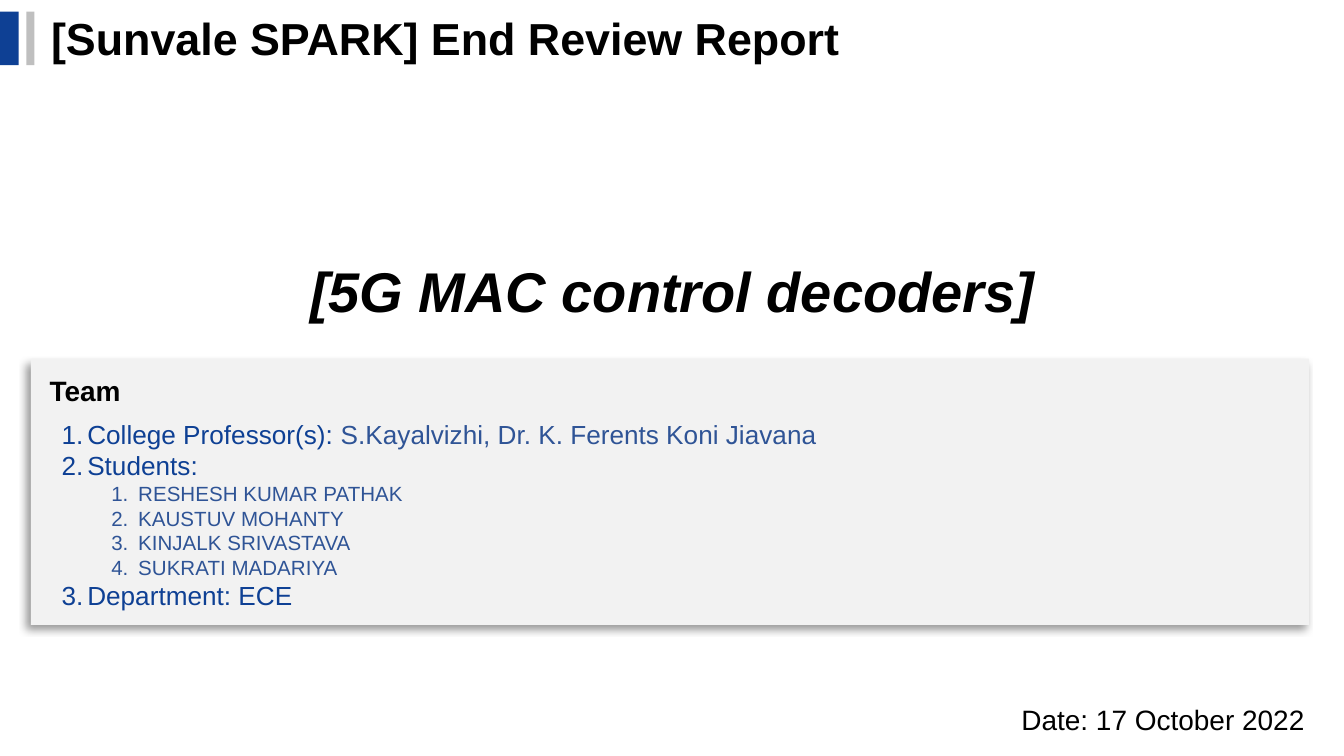
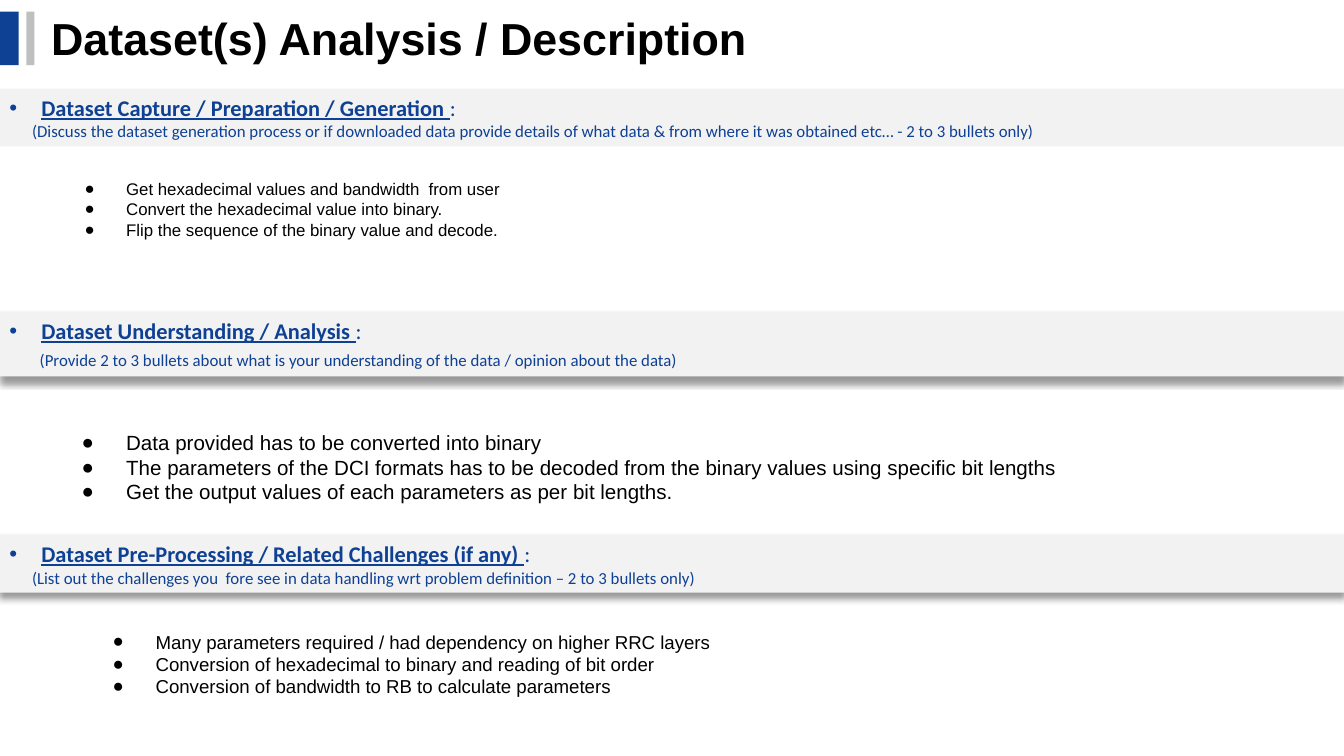
from lxml.etree import SubElement
from pptx import Presentation
from pptx.dml.color import RGBColor
from pptx.enum.shapes import MSO_SHAPE
from pptx.enum.text import MSO_ANCHOR, MSO_AUTO_SIZE, PP_ALIGN
from pptx.oxml.ns import qn
from pptx.util import Pt

BLACK = RGBColor(0x00, 0x00, 0x00)
BLUE = RGBColor(0x0E, 0x40, 0x94)
NAME_BLUE = RGBColor(0x2F, 0x54, 0x96)
PANEL = RGBColor(0xF2, 0xF2, 0xF2)
GRAY = RGBColor(0xBF, 0xBF, 0xBF)
WIDTH, HEIGHT = 720, 405


class Deck:
    def __init__(self):
        self.prs = Presentation()
        self.prs.slide_width, self.prs.slide_height = Pt(WIDTH), Pt(HEIGHT)
        self.slide = None

    def new_slide(self, title):
        self.slide = self.prs.slides.add_slide(self.prs.slide_layouts[6])
        # Title with its two marker bars
        self.rect(0, 6.3, 10.1, 28.6, BLUE)
        self.rect(14.2, 6.3, 4.3, 28.6, GRAY)
        self.label(22.4, 2.9, 555, 34.6, title, 24, bold=True)

    def rect(self, x, y, w, h, color, shadow_angle=None):
        sp = self.slide.shapes.add_shape(MSO_SHAPE.RECTANGLE, Pt(x), Pt(y), Pt(w), Pt(h))
        sp.fill.solid()
        sp.fill.fore_color.rgb = color
        sp.line.fill.background()
        sp.shadow.inherit = False
        if shadow_angle is not None:
            effects = sp._element.spPr.find(qn("a:effectLst"))
            shadow = SubElement(effects, qn("a:outerShdw"), blurRad=str(Pt(4)), dist=str(Pt(3)),
                                dir=str(shadow_angle * 60000), algn="t", rotWithShape="0")
            tint = SubElement(shadow, qn("a:srgbClr"), val=str(BLACK))
            SubElement(tint, qn("a:alpha"), val="40000")
        return sp

    def frame(self, sp, inset_x=5, inset_y=3, anchor=MSO_ANCHOR.TOP):
        tf = sp.text_frame
        tf.word_wrap = True
        tf.auto_size = MSO_AUTO_SIZE.NONE
        tf.margin_left = tf.margin_right = Pt(inset_x)
        tf.margin_top = tf.margin_bottom = Pt(inset_y)
        tf.vertical_anchor = anchor
        return tf

    def text_box(self, x, y, w, h, **frame):
        return self.frame(self.slide.shapes.add_textbox(Pt(x), Pt(y), Pt(w), Pt(h)), **frame)

    def paragraph(self, tf, text, size, color=BLACK, align=PP_ALIGN.LEFT, **style):
        p = tf.paragraphs[0] if not tf.paragraphs[0].runs else tf.add_paragraph()
        p.text = text
        p.alignment = align
        self.style_run(p.runs[0], size, color, **style)
        return p

    def style_run(self, r, size, color=BLACK, font="Arial", bold=False, italic=False, underline=False):
        f = r.font
        f.size, f.name, f.color.rgb = Pt(size), font, color
        f.bold, f.italic, f.underline = bold, italic, underline

    def add_run(self, p, text, size, color, **style):
        r = p.add_run()
        r.text = text
        self.style_run(r, size, color, **style)

    def indent(self, p, left, hanging=0, color=BLACK, bullet=None, level=0):
        """A one-character bullet, or "1." for automatic numbers."""
        p.level = level
        pPr = p._p.get_or_add_pPr()
        pPr.set("marL", str(Pt(left)))
        pPr.set("indent", str(-Pt(hanging)))
        if bullet:
            SubElement(SubElement(pPr, qn("a:buClr")), qn("a:srgbClr"), val=str(color))
            SubElement(pPr, qn("a:buFont"), typeface="Arial")
            if bullet == "1.":
                SubElement(pPr, qn("a:buAutoNum"), type="arabicPeriod")
            else:
                SubElement(pPr, qn("a:buChar"), char=bullet)

    def label(self, x, y, w, h, text, size, **style):
        tf = self.text_box(x, y, w, h, anchor=MSO_ANCHOR.MIDDLE)
        self.paragraph(tf, text, size, **style)

    def numbered(self, tf, text, size=14, color=BLUE, left=13.7, hanging=13.7, level=0):
        p = self.paragraph(tf, text, size, color)
        self.indent(p, left, hanging, color, "1.", level)
        return p

    def band(self, y, h, heading, hint, hint_indent=12.2, hint_gap=0, shadow_angle=None):
        tf = self.frame(self.rect(0, y, WIDTH, h, PANEL, shadow_angle))
        p = self.paragraph(tf, heading + " ", 12, BLUE, PP_ALIGN.JUSTIFY,
                           font="Calibri", bold=True, underline=True)
        self.add_run(p, ":", 12, BLUE, font="Calibri")
        self.indent(p, 17.2, 17.2, BLUE, "•")
        p = self.paragraph(tf, hint, 9, BLUE, PP_ALIGN.JUSTIFY, font="Calibri")
        p.space_before = Pt(hint_gap)
        self.indent(p, hint_indent)

    def bullets(self, x, y, w, h, size, hanging, items):
        tf = self.text_box(x, y, w, h, inset_x=7.2, inset_y=7.2)
        for item in items:
            self.indent(self.paragraph(tf, item, size), 36, hanging, bullet="●")


def cover(deck):
    deck.new_slide("[Sunvale SPARK] End Review Report")
    deck.label(82.8, 134.6, 555, 41.8, "[5G MAC control decoders]", 30,
               align=PP_ALIGN.CENTER, bold=True, italic=True)

    # Team panel
    deck.rect(16.5, 192.2, 684.7, 142.6, PANEL, shadow_angle=135)
    deck.label(21.6, 197.3, 74.2, 23.8, "Team", 15, bold=True)
    tf = deck.text_box(28.1, 221, 643, 108.7)
    p = deck.numbered(tf, "College Professor(s): ")
    deck.add_run(p, "S.Kayalvizhi, Dr. K. Ferents Koni Jiavana", 14, NAME_BLUE)
    deck.numbered(tf, "Students:")
    for student in ("RESHESH KUMAR PATHAK", "KAUSTUV MOHANTY", "KINJALK SRIVASTAVA", "SUKRATI MADARIYA"):
        deck.numbered(tf, student, 11, NAME_BLUE, 41, 14.4, level=1)
    deck.numbered(tf, "Department: ECE")

    deck.label(542.2, 373.7, 172, 23.8, "Date: 17 October 2022", 15)


def dataset(deck):
    deck.new_slide("Dataset(s) Analysis / Description")

    # Capture
    deck.band(47.5, 31, "Dataset Capture / Preparation / Generation",
              "(Discuss the dataset generation process or if downloaded data provide details of what data "
              "& from where it was obtained etc… - 2 to 3 bullets only)")
    deck.bullets(24.5, 88.6, 538.6, 47.5, 9, 22.3, (
        "Get hexadecimal values and bandwidth  from user",
        "Convert the hexadecimal value into binary.",
        "Flip the sequence of the binary value and decode."))

    # Understanding
    deck.band(167, 34.6, "Dataset Understanding / Analysis",
              "(Provide 2 to 3 bullets about what is your understanding of the data / opinion about the data)",
              hint_indent=16.3, hint_gap=3.2, shadow_angle=90)
    deck.bullets(24.5, 223.2, 622, 54.7, 11, 23.8, (
        "Data provided has to be converted into binary",
        "The parameters of the DCI formats has to be decoded from the binary values using specific bit lengths",
        "Get the output values of each parameters as per bit lengths."))

    # Challenges
    deck.band(286.5, 31, "Dataset Pre-Processing / Related Challenges (if any)",
              "(List out the challenges you  fore see in data handling wrt problem definition – 2 to 3 bullets only)",
              shadow_angle=90)
    deck.bullets(40.3, 330.5, 623.5, 51, 10, 23, (
        "Many parameters required / had dependency on higher RRC layers",
        "Conversion of hexadecimal to binary and reading of bit order",
        "Conversion of bandwidth to RB to calculate parameters"))


def main():
    deck = Deck()
    cover(deck)
    dataset(deck)
    deck.prs.save("out.pptx")


if __name__ == "__main__":
    main()
